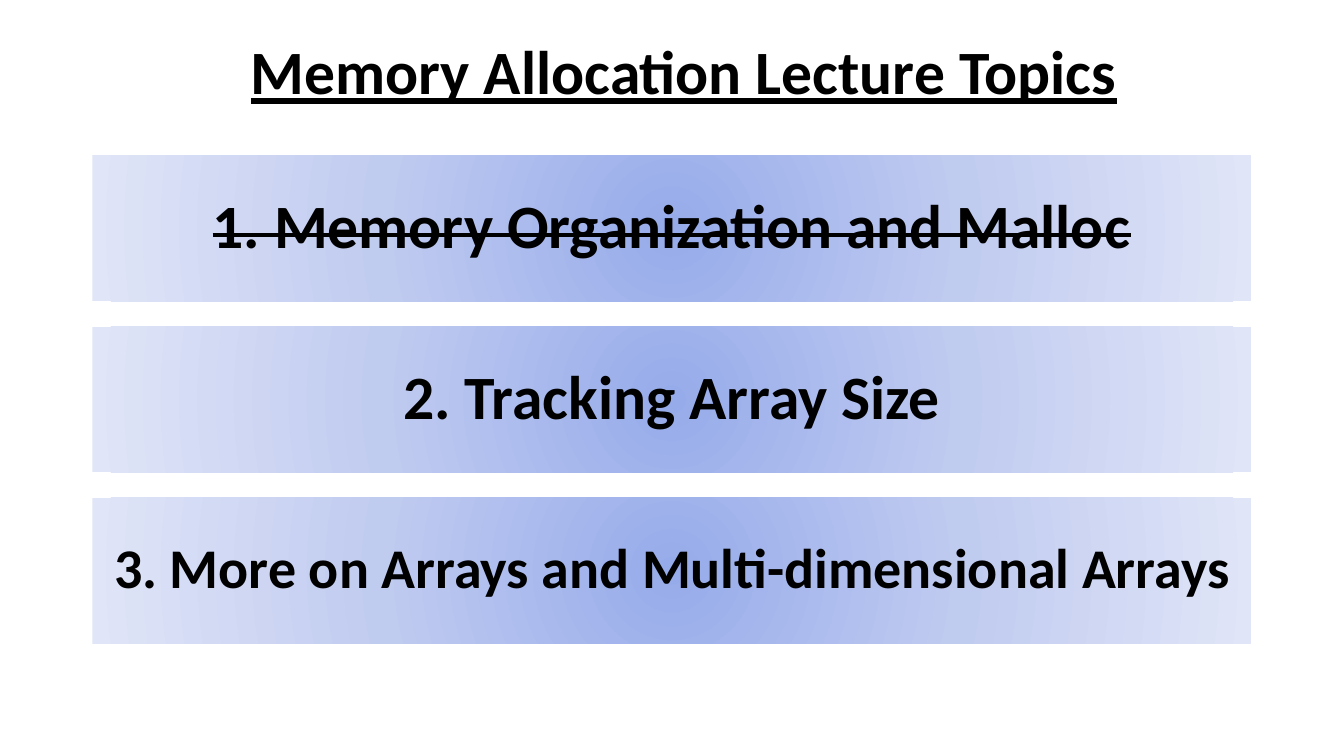
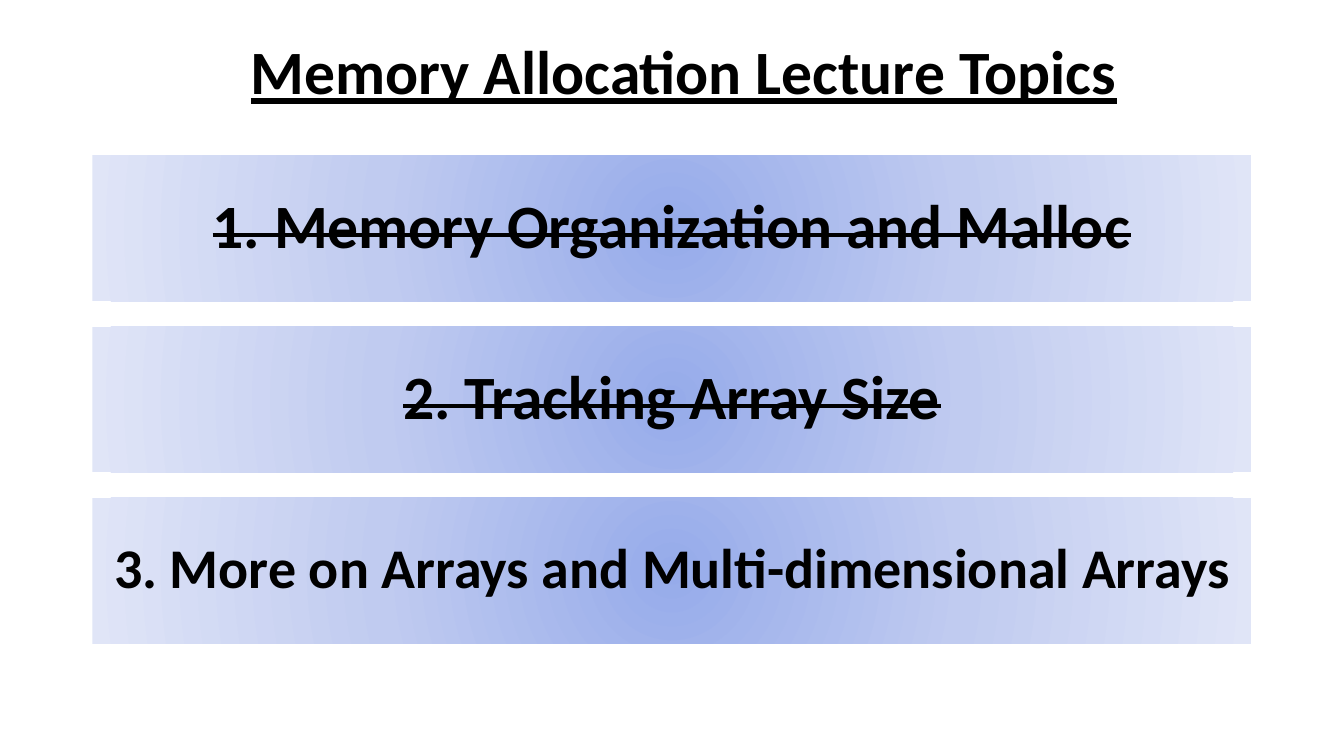
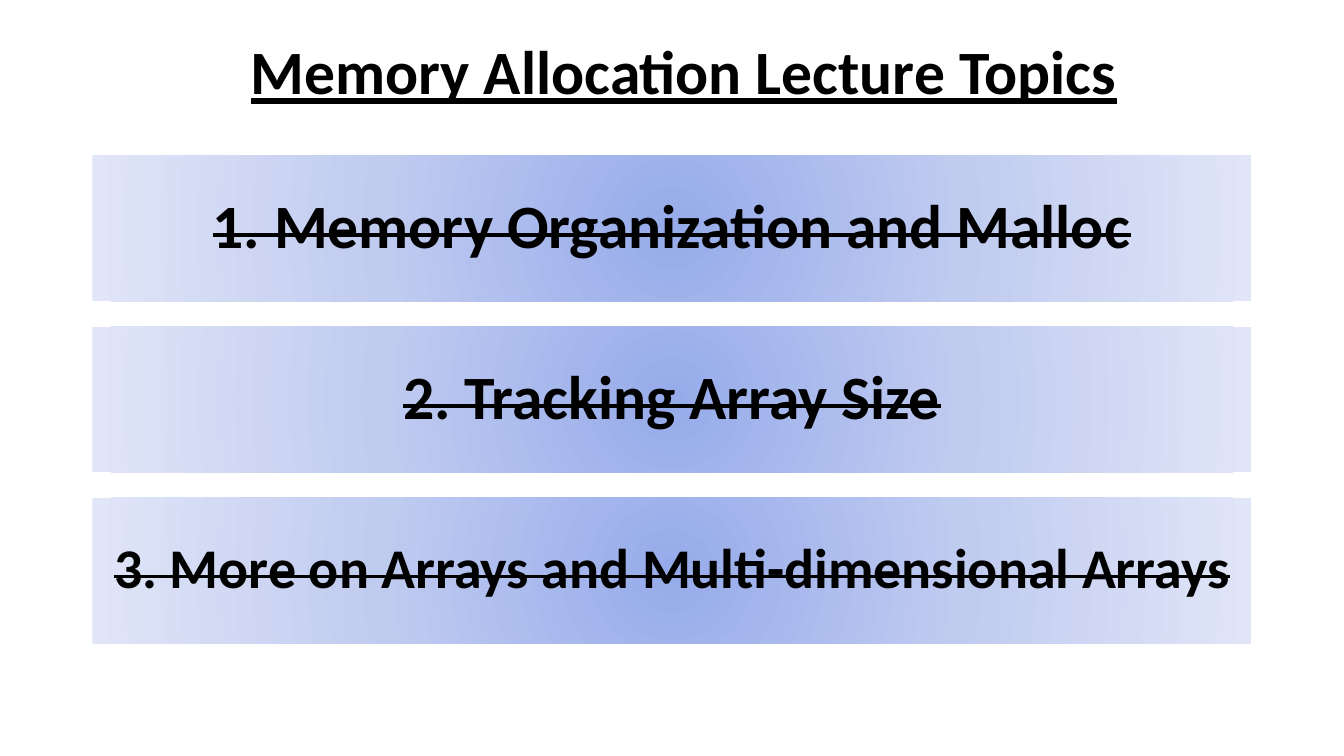
"""Three progress slides for a lecture on memory allocation."""
import pptx
import pptx.dml.color
import pptx.enum.shapes
import pptx.enum.text
import pptx.oxml
import pptx.oxml.ns
import pptx.util

PX = 9525
FONT = "Calibri"
BLACK = "000000"
BAND_STOPS = ((0, "96ABEA"), (50, "C0CBF0"), (100, "E0E5F7"))
BAND_LEFT, BAND_TOP, BAND_WIDTH, BAND_HEIGHT, BAND_GAP = 88, 148, 1104, 139, 24
TITLE = "Memory Allocation Lecture Topics"
TOPICS = (
    ("1. Memory Organization and Malloc", 44),
    ("2. Tracking Array Size", 44),
    ("3. More on Arrays and Multi-dimensional Arrays", 40),
)


def px(*lengths):
    """Turn pixel lengths into EMU."""
    return [pptx.util.Emu(length * PX) for length in lengths]


def color(value):
    """Turn a hex string into a colour."""
    return pptx.dml.color.RGBColor.from_string(value)


def write(box, text, size=44, underline=False, strike=False, spacing=1.0):
    """Write one centred bold line into a box."""
    box.text_frame.word_wrap = True
    para = box.text_frame.paragraphs[0]
    para.alignment = pptx.enum.text.PP_ALIGN.CENTER
    para.line_spacing = spacing
    span = para.add_run()
    span.text = text
    span.font.name = FONT
    span.font.size = pptx.util.Pt(size)
    span.font.bold = True
    span.font.color.rgb = color(BLACK)
    if underline:
        span.font.underline = True
    if strike:
        span._r.get_or_add_rPr().set("strike", "sngStrike")


def fill_radial(shape, stops):
    """Fill a shape with a gradient running out from its centre."""
    stop_xml = "".join(
        f'<a:gs pos="{place * 1000}"><a:srgbClr val="{color(value)}"/></a:gs>'
        for place, value in stops
    )
    gradient = pptx.oxml.parse_xml(
        f'<a:gradFill {pptx.oxml.ns.nsdecls("a")} rotWithShape="1">'
        f"<a:gsLst>{stop_xml}</a:gsLst>"
        '<a:path path="circle">'
        '<a:fillToRect l="50000" t="50000" r="50000" b="50000"/>'
        "</a:path></a:gradFill>"
    )
    shape.fill.background()
    properties = shape._element.spPr
    properties.replace(properties.find(pptx.oxml.ns.qn("a:noFill")), gradient)


def add_title(page, text):
    """Add the underlined heading."""
    box = page.shapes.add_textbox(*px(226, 27, 851, 81))
    write(box, text, underline=True)
    box.text_frame.auto_size = pptx.enum.text.MSO_AUTO_SIZE.SHAPE_TO_FIT_TEXT


def add_band(page, row, text, size, done):
    """Add a topic band, struck through once it is done."""
    top = BAND_TOP + row * (BAND_HEIGHT + BAND_GAP)
    band = page.shapes.add_shape(
        pptx.enum.shapes.MSO_SHAPE.RECTANGLE,
        *px(BAND_LEFT, top, BAND_WIDTH, BAND_HEIGHT),
    )
    band.shadow.inherit = False
    fill_radial(band, BAND_STOPS)
    band.line.fill.background()
    band.text_frame.vertical_anchor = pptx.enum.text.MSO_ANCHOR.MIDDLE
    write(band, text, size, strike=done, spacing=0.9)


def add_topics_page(deck, done_count):
    """Add a page whose first topics are struck through."""
    page = deck.slides.add_slide(deck.slide_layouts[6])
    for row, (text, size) in enumerate(TOPICS):
        add_band(page, row, text, size, done=row < done_count)
    add_title(page, TITLE)


def main():
    """Build and save the deck."""
    deck = pptx.Presentation()
    deck.slide_width, deck.slide_height = px(1280, 720)
    for done_count in (1, 2, 3):
        add_topics_page(deck, done_count)
    deck.save("out.pptx")


if __name__ == "__main__":
    main()
